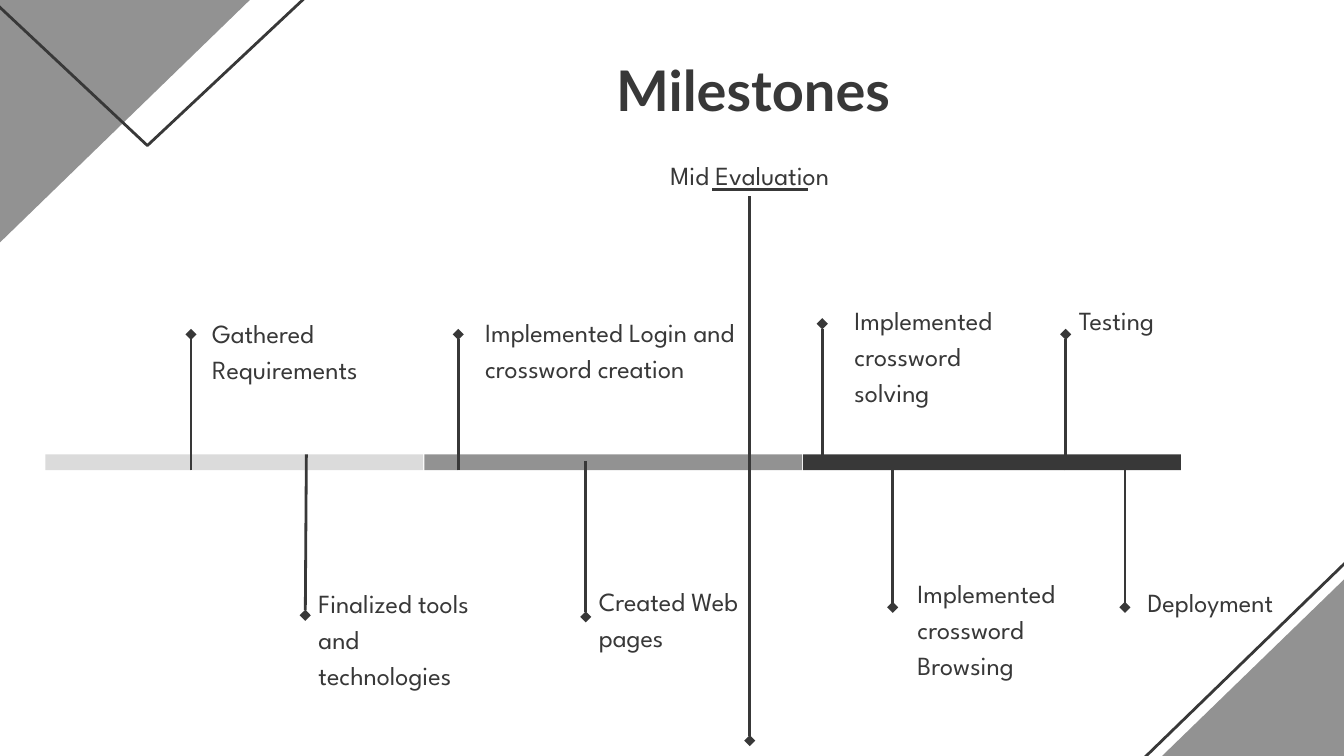
from lxml import etree
from pptx import Presentation
from pptx import util as u
from pptx.dml.color import RGBColor
from pptx.enum import shapes, text
from pptx.oxml import ns

Cm, Pt = u.Cm, u.Pt
DARK, GREY, LIGHT = "383838", "929292", "DBDBDB"


def add_text(box, content, size, font, bold=False):
    tb = s.shapes.add_textbox(*map(Cm, box))
    tf = tb.text_frame
    tf.word_wrap = True
    tf.vertical_anchor = text.MSO_ANCHOR.TOP
    tf.margin_left = tf.margin_right = tf.margin_top = tf.margin_bottom = Cm(0.25)
    tf.text = content
    p = tf.paragraphs[0]
    f = p.runs[0].font
    f.size, f.name, f.bold = Pt(size), font, bold
    f.color.rgb = RGBColor.from_string(DARK)
    return p


def add_line(x1, y1, x2, y2, diamond=True):
    """Draw a dark line, by default with a diamond at its second end."""
    c = s.shapes.add_connector(shapes.MSO_CONNECTOR.STRAIGHT, Cm(x1), Cm(y1), Cm(x2), Cm(y2))
    c.line.color.rgb = RGBColor.from_string(DARK)
    c.line.width = Pt(1.5)
    if diamond:
        etree.SubElement(c.line._get_or_add_ln(), ns.qn("a:tailEnd"), type="diamond")
    etree.SubElement(c._element.spPr, ns.qn("a:effectLst"))


prs = Presentation()
prs.slide_width, prs.slide_height = Cm(25.4), Cm(14.29)
s = prs.slides.add_slide(prs.slide_layouts[6])

# Corner triangles and timeline bars: kind, box, rotation, fill, outline
RIGHT, ISO = shapes.MSO_SHAPE.RIGHT_TRIANGLE, shapes.MSO_SHAPE.ISOSCELES_TRIANGLE
parts = [
    (RIGHT, (19.51, 7.21, 9.45, 9.17), 0, None, DARK),
    (RIGHT, (19.81, 7.21, 9.45, 9.17), 0, GREY, None),
    (RIGHT, (-2.11, -2.54, 9.45, 9.17), 180, GREY, None),
    (ISO, (-4.67, -4.24, 14.91, 6.99), 180, None, DARK),
]
for i, color in enumerate([LIGHT, GREY, DARK]):
    parts.append((shapes.MSO_SHAPE.RECTANGLE, (0.86 + i * 7.16, 8.59, 7.14, 0.3), 0, color, None))

for kind, box, rotation, fill, outline in parts:
    sp = s.shapes.add_shape(kind, *map(Cm, box))
    sp.shadow.inherit = False
    sp.rotation = rotation
    if kind == RIGHT:
        sp._element.spPr.xfrm.set("flipH", "1")
    if fill:
        sp.fill.solid()
        sp.fill.fore_color.rgb = RGBColor.from_string(fill)
    else:
        sp.fill.background()
    if outline:
        sp.line.color.rgb = RGBColor.from_string(outline)
        sp.line.width = Pt(1.5)
    else:
        sp.line.fill.background()

p = add_text((4.01, 0.81, 20.45, 1.47), "Milestones", 30, "Lato", True)
p.alignment = text.PP_ALIGN.CENTER

# Label, label box, pin from the bar to its diamond
milestones = [
    ("Mid Evaluation", (12.42, 2.67, 4.22, 1.78), (14.17, 3.71, 14.17, 14)),
    ("Gathered Requirements", (3.76, 5.66, 4.01, 1.35), (3.61, 8.89, 3.61, 6.32)),
    ("Finalized tools and technologies", (5.77, 10.77, 3.4, 1.35), (5.79, 8.59, 5.77, 11.63)),
    ("Implemented Login and crossword creation", (8.92, 5.64, 5.44, 1.78), (8.66, 8.89, 8.66, 6.32)),
    ("Created Web pages", (11.07, 10.72, 3.4, 1.78), (11.07, 8.71, 11.07, 11.66)),
    ("Implemented crossword solving", (15.9, 5.41, 3.68, 1.35), (15.54, 8.71, 15.54, 6.12)),
    ("Implemented crossword Browsing", (17.09, 10.57, 3.68, 1.78), (16.87, 8.89, 16.87, 11.48)),
    ("Testing", (20.14, 5.41, 3.2, 1.35), (20.14, 8.89, 20.14, 6.32)),
    ("Deployment", (21.44, 10.74, 3.2, 1.35), (21.26, 8.89, 21.26, 11.48)),
]
for label, box, pin in milestones:
    add_line(*pin)
    p = add_text(box, label, 14, "League Spartan")
    p.line_spacing = 1.15
    p.space_after = Pt(16)

add_line(13.46, 3.58, 15.27, 3.58, diamond=False)

prs.save("out.pptx")
